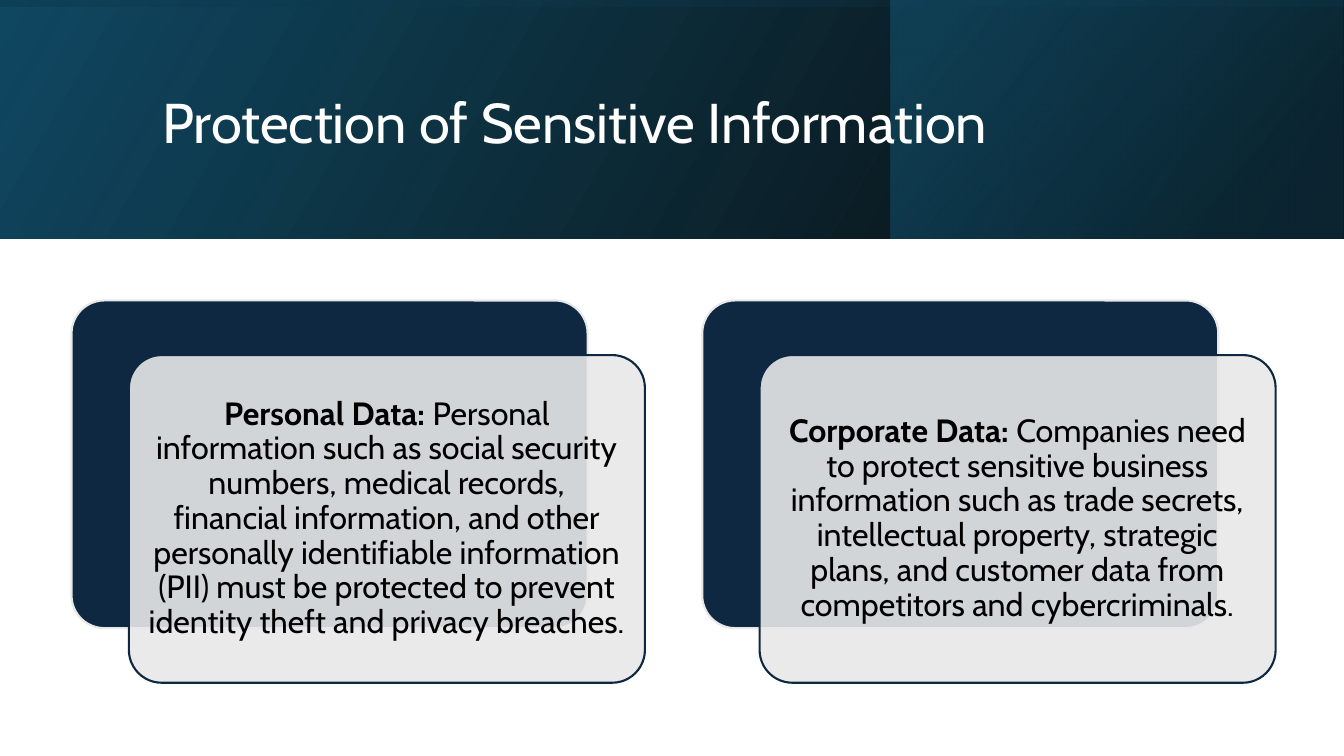
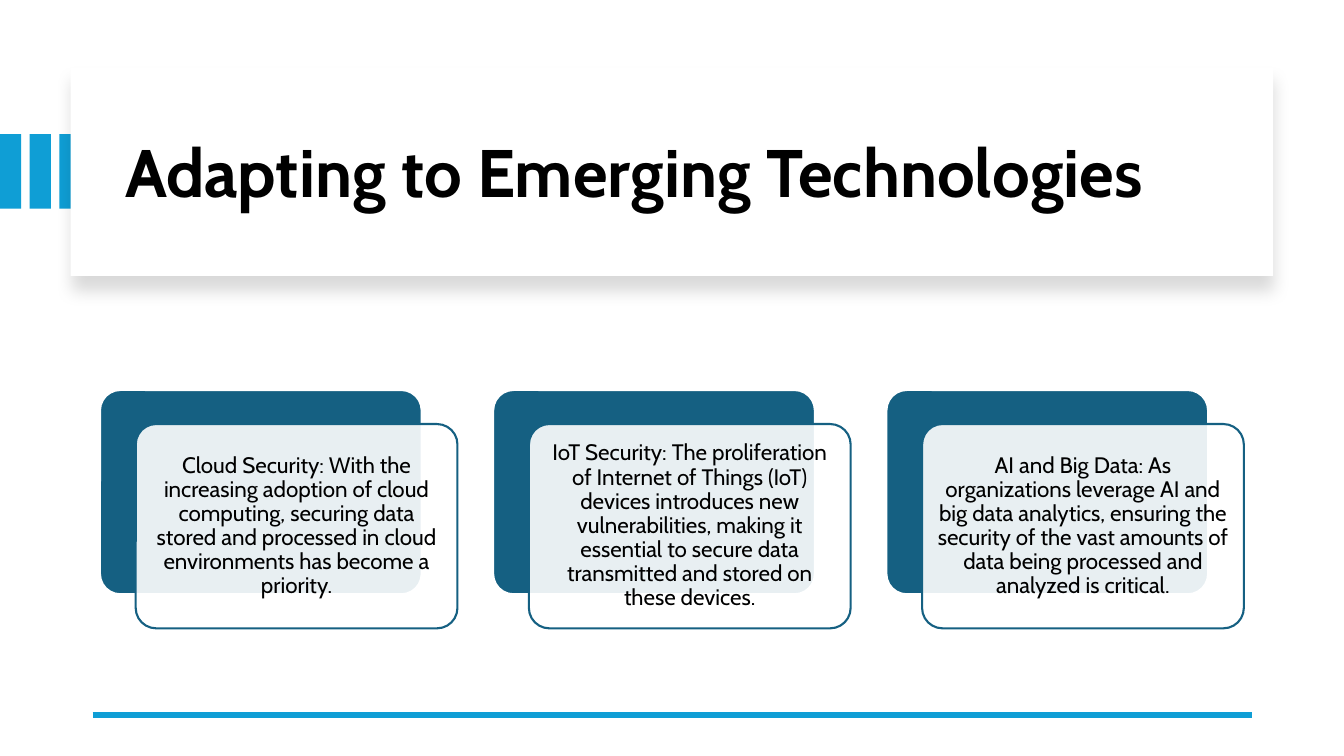
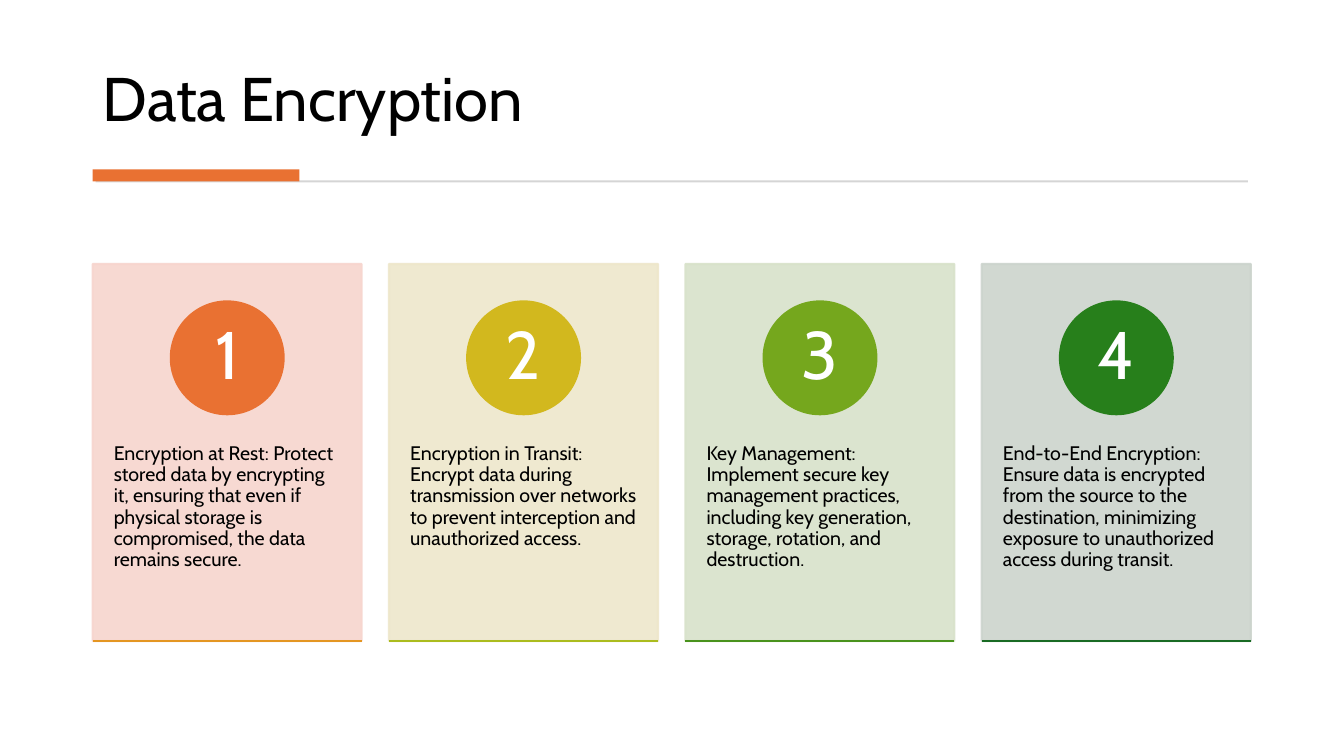
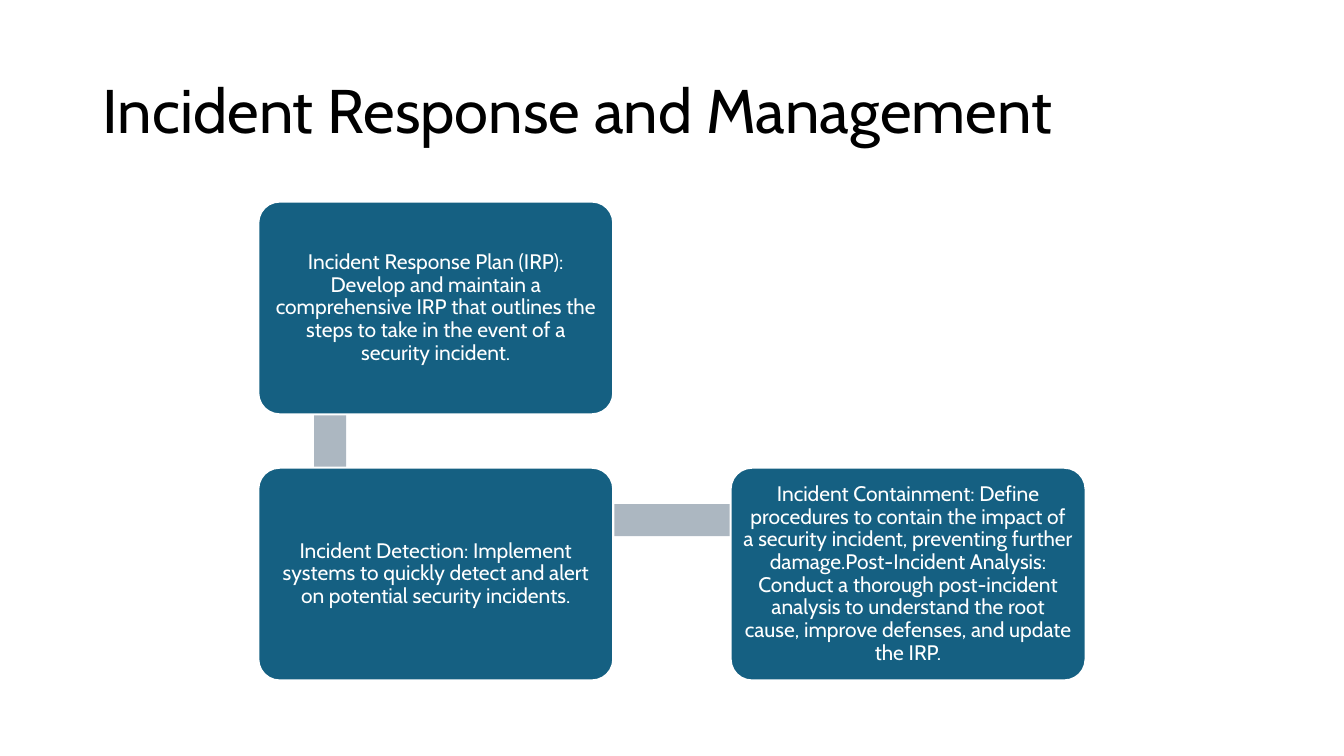
"""Build four slides on information security."""
from lxml import etree
from pptx import Presentation
from pptx.dml.color import RGBColor
from pptx.enum import shapes, text
from pptx.oxml import ns
from pptx.util import Pt

FONT, NAVY, TEAL, SKY = "Cabin", "0E2841", "156082", "0F9ED5"
BLACK, WHITE, PALE, SLATE, ORANGE = "000000", "FFFFFF", "E8E8E8", "ACB7C1", "E97132"
RECT, ROUND, OVAL = (getattr(shapes.MSO_SHAPE, k) for k in ("RECTANGLE", "ROUNDED_RECTANGLE", "OVAL"))
LEFT, MID = text.PP_ALIGN.LEFT, text.PP_ALIGN.CENTER
TOP, CORE, BASE = (getattr(text.MSO_ANCHOR, k) for k in ("TOP", "MIDDLE", "BOTTOM"))

DATA = [
    ("Personal Data: ", "Personal information such as social security numbers, medical records, financial information, and other personally identifiable information (PII) must be protected to prevent identity theft and privacy breaches."),
    ("Corporate Data: ", "Companies need to protect sensitive business information such as trade secrets, intellectual property, strategic plans, and customer data from competitors and cybercriminals."),
]
TECH = [
    ("", "Cloud Security: With the increasing adoption of cloud computing, securing data stored and processed in cloud environments has become a priority."),
    ("", "IoT Security: The proliferation of Internet of Things (IoT) devices introduces new vulnerabilities, making it essential to secure data transmitted and stored on these devices."),
    ("", "AI and Big Data: As organizations leverage AI and big data analytics, ensuring the security of the vast amounts of data being processed and analyzed is critical."),
]
CRYPT = [
    ("F7D5CE", ORANGE, "E49622", "Encryption at Rest: Protect stored data by encrypting it, ensuring that even if physical storage is compromised, the data remains secure."),
    ("EEE7CB", "D2B81E", "ABBC1E", "Encryption in Transit: Encrypt data during transmission over networks to prevent interception and unauthorized access."),
    ("D8E2CA", "75A71D", "49931D", "Key Management: Implement secure key management practices, including key generation, storage, rotation, and destruction."),
    ("CCD4CD", "277F1B", "196B24", "End-to-End Encryption: Ensure data is encrypted from the source to the destination, minimizing exposure to unauthorized access during transit."),
]
STEPS = [
    (0, 0, "Incident Response Plan (IRP): Develop and maintain a comprehensive IRP that outlines the steps to take in the event of a security incident."),
    (0, 1, "Incident Detection: Implement systems to quickly detect and alert on potential security incidents."),
    (1, 1, "Incident Containment: Define procedures to contain the impact of a security incident, preventing further damage.Post-Incident Analysis: Conduct a thorough post-incident analysis to understand the root cause, improve defenses, and update the IRP."),
]
GLOWS = [
    ((0, 0, 960, 170.6), 0, 30, [(0, BLACK, 96), (1, "104862", 100)]),
    ((636.5, 0, 322.8, 170.6), 0, 40, [(.19, "0B3041", 68), (1, TEAL, 48)]),
    ((394.7, -394.7, 170.6, 960), 270, 10, [(.23, "104862", 16), (.99, BLACK, 45)]),
]


def hue(code):
    """Turn a hex string into a colour."""
    return RGBColor.from_string(code)


def sub(node, tag, **vals):
    """Add a drawing element with attributes."""
    return etree.SubElement(node, ns.qn(tag), {k: str(v) for k, v in vals.items()})


def write(frame, runs, size, ink, align=MID, anchor=CORE, pad=(7.2, 3.6, 7.2, 3.6)):
    """Fill a frame with one paragraph of (text, bold) runs."""
    opts = dict(word_wrap=True, auto_size=text.MSO_AUTO_SIZE.NONE, vertical_anchor=anchor)
    opts.update(zip(("margin_left", "margin_top", "margin_right", "margin_bottom"), map(Pt, pad)))
    for key, val in opts.items():
        setattr(frame, key, val)
    para = frame.paragraphs[0]
    para.alignment, para.line_spacing = align, .9
    for words, bold in runs:
        run = para.add_run()
        run.text = words
        for key, val in dict(name=FONT, size=Pt(size), bold=bold).items():
            setattr(run.font, key, val)
        run.font.color.rgb = hue(ink)


def box(page, kind, at, fill, edge=None, alpha=None):
    """Add a preset shape; alpha fades its fill colour."""
    item = page.shapes.add_shape(kind, *map(Pt, at))
    item.fill.solid()
    item.fill.fore_color.rgb = hue(fill)
    if edge:
        item.line.color.rgb, item.line.width = hue(edge), Pt(1.5)
    else:
        item.line.fill.background()
    item.shadow.inherit = False
    if kind == ROUND:
        item.adjustments[0] = .1
    if alpha:
        for clr in item.element.spPr.iter(ns.qn("a:srgbClr")):
            if clr.get("val") == fill:
                sub(clr, "a:alpha", val=alpha * 1000)
    return item


def rule(page, x1, x2, y, ink, wide):
    """Add a level line."""
    line = page.shapes.add_connector(shapes.MSO_CONNECTOR.STRAIGHT, Pt(x1), Pt(y), Pt(x2), Pt(y))
    line.line.color.rgb, line.line.width = hue(ink), Pt(wide)
    sub(line.element.spPr, "a:effectLst")


def head(page, words, at, size, ink=BLACK, bold=False, anchor=CORE):
    """Place the title in front of what is drawn so far."""
    title = page.shapes.title
    title.left, title.top, title.width, title.height = map(Pt, at)
    write(title.text_frame, [(words, bold)], size, ink, LEFT, anchor)
    title.element.getparent().append(title.element)


def stack(page, cards, x, y, wide, size, back, rim, front):
    """Add a row of cards, each a plate with a glassy panel over it."""
    high, pad = wide * .635, (size * .3,) * 4
    for i, (lead, body) in enumerate(cards):
        left = x + i * wide * 11 / 9
        box(page, ROUND, (left, y, wide, high), back, rim)
        panel = box(page, ROUND, (left + wide / 9, y + high / 6, wide, high), front, back, 90)
        runs = [(lead, True), (body, False)] if lead else [(body, False)]
        write(panel.text_frame, runs, size, BLACK, pad=pad)


def glow(page, at, turn, angle, stops):
    """Add a mirrored band with a see-through gradient."""
    band = box(page, RECT, at, BLACK)
    band.rotation = turn
    band.element.spPr.xfrm.set("flipH", "1")
    band.fill.gradient()
    band.fill.gradient_angle = angle
    for stop, (place, ink, alpha) in zip(band.fill.gradient_stops, stops):
        stop.position, stop.color.rgb = place, hue(ink)
    for clr, (_, _, alpha) in zip(band.element.spPr.iter(ns.qn("a:srgbClr")), stops):
        sub(clr, "a:alpha", val=alpha * 1000)


def protect(page):
    """Draw the sensitive information slide."""
    for band in GLOWS:
        glow(page, *band)
    head(page, "Protection of Sensitive Information", (108.7, 27.4, 765.4, 123.8), 40, WHITE)
    stack(page, DATA, 51.1, 214.6, 368.6, 23, NAVY, PALE, PALE)


def adapt(page):
    """Draw the emerging technologies slide."""
    for i in range(3):
        box(page, RECT, (i * 21.2, 95.8, 15.2, 53.3), SKY)
    card = box(page, RECT, (50.4, 48.2, 859, 149), WHITE)
    glim = sub(card.element.spPr.find(ns.qn("a:effectLst")), "a:outerShdw",
               blurRad=Pt(11), dist=Pt(10), dir=5400000, algn="t", rotWithShape=0)
    sub(sub(glim, "a:srgbClr", val=BLACK), "a:alpha", val=15000)
    head(page, "Adapting to Emerging Technologies", (82.1, 64.1, 801.4, 122.4), 48, bold=True)
    rule(page, 66.2, 894.2, 510.5, SKY, 4.5)
    stack(page, TECH, 71.4, 278.6, 229.8, 16, TEAL, WHITE, WHITE)


def crypt(page):
    """Draw the encryption slide."""
    head(page, "Data Encryption", (66.2, 20.2, 827.3, 79.9), 44, anchor=BASE)
    box(page, RECT, (68.4, 128.9, 823, 1.4), "D5D5D5")
    box(page, RECT, (66.2, 121, 147.6, 8.6), ORANGE)
    wide, disc = 192.2, 80.6
    for i, (tint, ink, edge, body) in enumerate(CRYPT):
        left = 66.2 + i * 211.7
        card = box(page, RECT, (left, 188.6, wide, 269.3), tint, tint, 90)
        write(card.text_frame, [(body, False)], 14, BLACK, LEFT, TOP, (15.1, 128.2, 15.1, 26))
        dot = box(page, OVAL, (left + (wide - disc) / 2, 215.3, disc, disc), ink, ink)
        write(dot.text_frame, [(str(i + 1), False)], 48, WHITE, pad=(6.5, .7, 6.5, .7))
        rule(page, left, left + wide, 457.9, edge, 1.5)


def respond(page):
    """Draw the incident response slide."""
    head(page, "Incident Response and Management", (66.2, 28.8, 828, 104.4), 44)
    for at in ((224.3, 181.8, 23, 189.4), (236.2, 360, 336.2, 23)):
        box(page, RECT, at, SLATE)
    for col, row, body in STEPS:
        card = box(page, ROUND, (184.5 + col * 337.4, 144 + row * 190.1, 253.6, 152), TEAL, WHITE)
        write(card.text_frame, [(body, False)], 15, WHITE, pad=(4.5,) * 4)


def main():
    """Build and save the deck."""
    deck = Presentation()
    deck.slide_width, deck.slide_height = Pt(960), Pt(540)
    for draw in (protect, adapt, crypt, respond):
        draw(deck.slides.add_slide(deck.slide_layouts[5]))
    deck.save("out.pptx")


if __name__ == "__main__":
    main()
